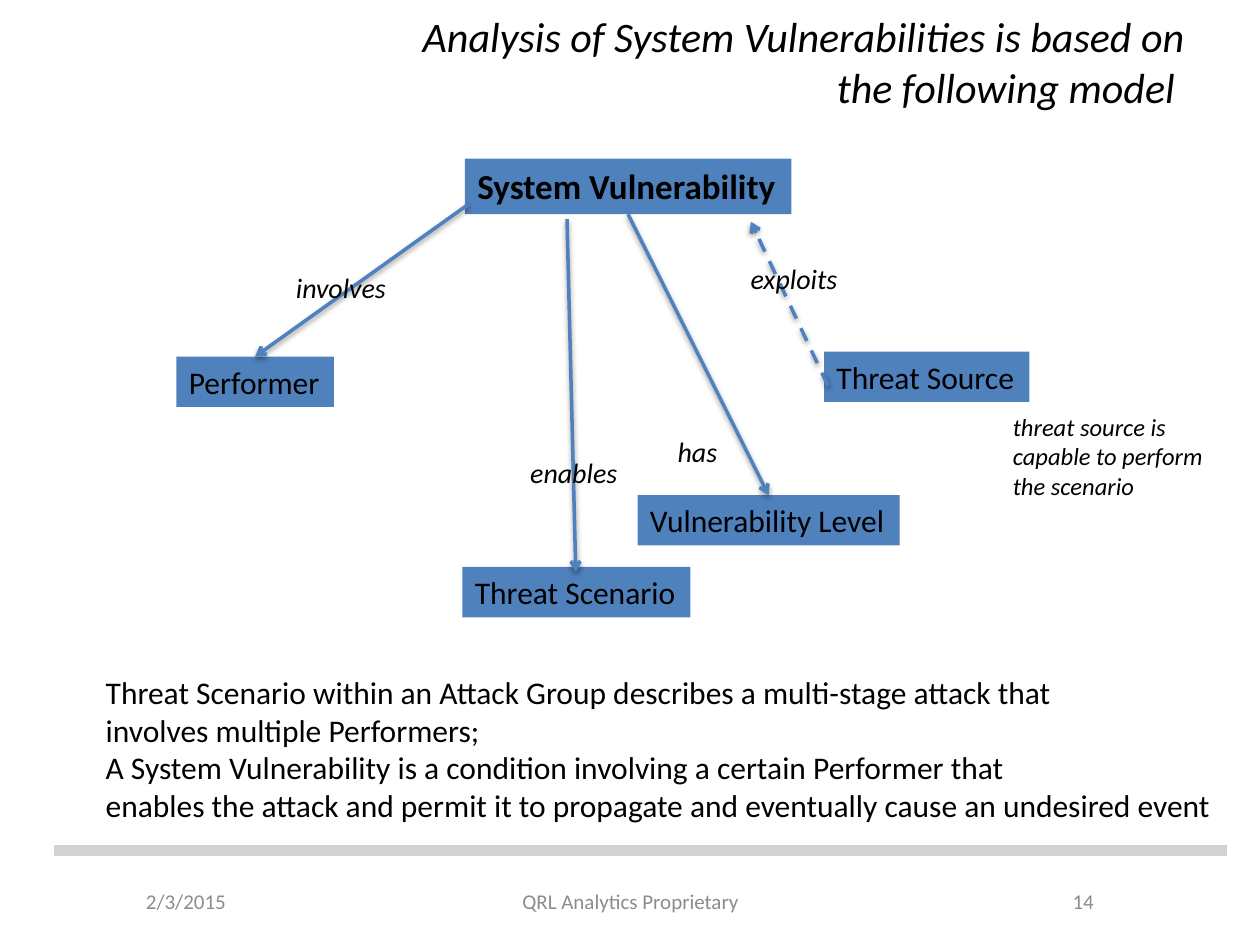
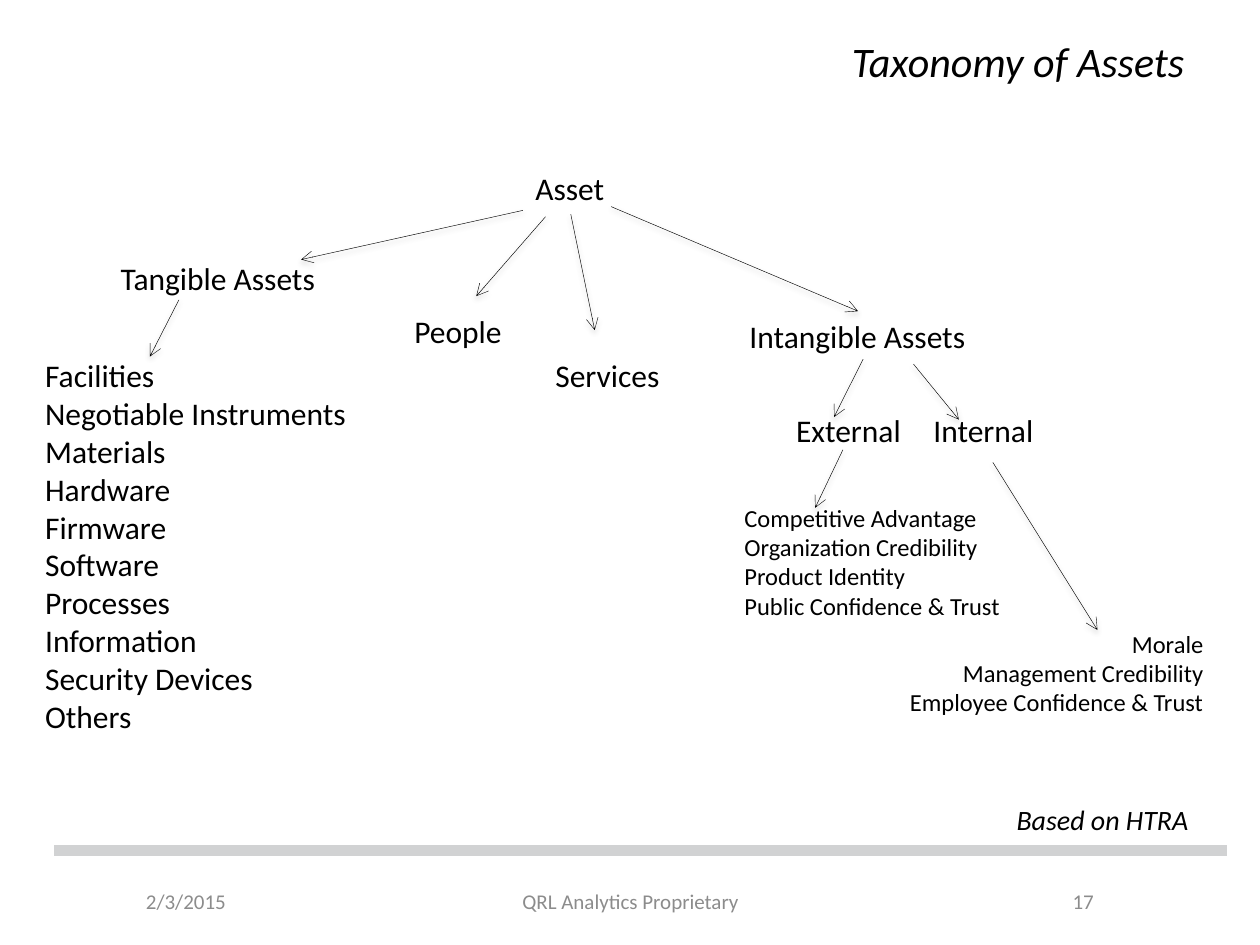
"""Build two slides: a system vulnerability model and a taxonomy of assets."""
from dataclasses import dataclass

from lxml.etree import SubElement
from pptx import Presentation
from pptx.dml.color import RGBColor
from pptx.enum.dml import MSO_LINE
from pptx.enum.shapes import MSO_CONNECTOR, MSO_SHAPE
from pptx.enum.text import MSO_ANCHOR, MSO_AUTO_SIZE, PP_ALIGN
from pptx.oxml.ns import qn
from pptx.util import Inches, Pt


@dataclass(frozen=True)
class Theme:
    """Colours, font and type sizes of both slides."""
    font: str = "Calibri"
    ink: RGBColor = RGBColor(0, 0, 0)
    blue: RGBColor = RGBColor(0x4F, 0x81, 0xBD)
    muted: RGBColor = RGBColor(0x8C, 0x8C, 0x8C)
    band: RGBColor = RGBColor(0xD1, 0xD2, 0xD3)
    title: int = 24
    root: int = 20
    body: int = 18
    label: int = 16
    note: int = 14
    footer: int = 12


THEME = Theme()
LEFT, CENTER, RIGHT = PP_ALIGN.LEFT, PP_ALIGN.CENTER, PP_ALIGN.RIGHT

DATE = "2/3/2015"
OWNER = "QRL Analytics Proprietary"

MODEL = {
    "title": "Analysis of System Vulnerabilities is based on\n the following model ",
    "number": "14",
    "nodes": [
        ("System Vulnerability", 3.69, 1.26, 2.59),
        ("Performer", 1.4, 2.83, 1.25),
        ("Threat Scenario", 3.67, 4.5, 1.81),
        ("Threat Source", 6.54, 2.79, 1.63),
        ("Vulnerability Level", 5.06, 3.93, 2.08),
    ],
    "relations": [
        ((3.72, 1.62), "Performer", False),
        ((6.57, 3.06), (5.96, 1.76), True),
        ((4.5, 1.74), (4.57, 4.54), False),
        ("System Vulnerability", "Vulnerability Level", False),
    ],
    "labels": [
        ("has", 5.28, 3.4, 0.57),
        ("enables", 4.11, 3.57, 0.95),
        ("involves", 2.25, 2.1, 0.98),
        ("exploits", 5.86, 2.03, 0.95),
    ],
    "capability": ("threat source is\ncapable to perform\nthe scenario", 7.94, 3.22, 1.76),
    "summary": ([
        "Threat Scenario within an Attack Group describes a multi-stage attack that",
        "involves multiple Performers;",
        "A System Vulnerability is a condition involving a certain Performer that",
        "enables the attack and permit it to propagate and eventually cause an undesired event",
    ], 0.74, 5.29, 8.98),
}

TAXONOMY = {
    "title": "Taxonomy of Assets",
    "number": "17",
    "classes": [
        (["Asset"], 4.15, 1.29, 0.75),
        (["Tangible Assets"], 0.86, 2.01, 1.76),
        (["Intangible Assets"], 5.85, 2.47, 1.93),
        (["People"], 3.19, 2.43, 0.9),
        (["Services"], 4.31, 2.78, 1.04),
        (["External"], 6.22, 3.21, 1.04),
        (["Internal"], 7.31, 3.21, 1),
        (["Facilities", "Negotiable Instruments", "Materials", "Hardware", "Firmware",
          "Software", "Processes", "Information", "Security Devices", "Others"],
         0.26, 2.78, 2.61),
    ],
    "examples": [
        (["Competitive Advantage", "Organization Credibility", "Product Identity",
          "Public Confidence & Trust"], 5.81, 3.94, 2.24, LEFT),
        (["Morale", "Management Credibility", "Employee Confidence & Trust"],
         7.1, 4.94, 2.55, RIGHT),
    ],
    "branches": [
        ((4.15, 1.67), (2.39, 2.06)),
        ((4.85, 1.64), (6.81, 2.47)),
        ((4.33, 1.72), (3.78, 2.35)),
        ((4.53, 1.7), (4.72, 2.62)),
        ((6.85, 2.85), (6.62, 3.31)),
        ((7.25, 2.89), (7.61, 3.33)),
        ((6.69, 3.57), (6.47, 4.03)),
        ((7.88, 3.67), (8.71, 5)),
        ((1.42, 2.38), (1.19, 2.83)),
    ],
    "basis": ("Based on HTRA", 7.97, 6.32, 1.64),
}


def write(frame, paragraphs, size, color=THEME.ink, align=LEFT, bold=False, italic=False):
    """Fill a text frame with equally formatted paragraphs."""
    for index, text in enumerate(paragraphs):
        paragraph = frame.add_paragraph() if index else frame.paragraphs[0]
        paragraph.text = text
        paragraph.alignment = align
        font = paragraph.font
        font.name, font.size, font.color.rgb = THEME.font, Pt(size), color
        font.bold, font.italic = bold, italic


def add_text(slide, content, left, top, width, size, fill=None, wrap=False, **style):
    """Add a text box, or a filled rectangle, as tall as its lines."""
    paragraphs = [content] if isinstance(content, str) else content
    lines = sum(text.count("\n") + 1 for text in paragraphs)
    area = [Inches(v) for v in (left, top, width, round(0.1 + lines * size * 1.21 / 72, 2))]
    if fill is None:
        box = slide.shapes.add_textbox(*area)
    else:
        box = slide.shapes.add_shape(MSO_SHAPE.RECTANGLE, *area)
        box.shadow.inherit = False
        box.fill.solid()
        box.fill.fore_color.rgb = fill
        box.line.fill.background()
    frame = box.text_frame
    frame.word_wrap = wrap
    frame.auto_size = MSO_AUTO_SIZE.SHAPE_TO_FIT_TEXT
    frame.vertical_anchor = MSO_ANCHOR.TOP
    write(frame, paragraphs, size, **style)
    return box


def add_line(slide, start, end, color, weight):
    """Add a straight line between two points."""
    points = [Inches(v) for v in (*start, *end)]
    line = slide.shapes.add_connector(MSO_CONNECTOR.STRAIGHT, *points)
    line.line.color.rgb = color
    line.line.width = Pt(weight)
    return line


def add_arrow(slide, start, end, color, weight, dashed=False, nodes=None):
    """Add an arrow between points or, by name, from a node's bottom to a node's top."""
    origin, target = ((0, 0) if isinstance(p, str) else p for p in (start, end))
    arrow = add_line(slide, origin, target, color, weight)
    if isinstance(start, str):
        arrow.begin_connect(nodes[start], 2)
    if isinstance(end, str):
        arrow.end_connect(nodes[end], 0)
    if dashed:
        arrow.line.dash_style = MSO_LINE.DASH
    SubElement(arrow.line._get_or_add_ln(), qn("a:tailEnd"), type="arrow")


def add_slide(deck, content):
    """Add a slide with the shared title, rule and footer."""
    slide = deck.slides.add_slide(deck.slide_layouts[5])
    title = slide.shapes.title
    title.left, title.top, title.width, title.height = map(Inches, (0.5, 0.21, 9, 0.55))
    title.text_frame.auto_size = MSO_AUTO_SIZE.NONE
    title.text_frame.vertical_anchor = MSO_ANCHOR.MIDDLE
    write(title.text_frame, [content["title"]], THEME.title, align=RIGHT, italic=True)

    rule = add_line(slide, (0.43, 6.75), (9.74, 6.75), THEME.band, 6)
    SubElement(rule._element.spPr, qn("a:effectLst"))
    for text, left, width, align in (
        (DATE, 1.06, 1.77, LEFT),
        (OWNER, 3.42, 3.17, CENTER),
        (content["number"], 7.17, 1.61, RIGHT),
    ):
        footer = add_text(slide, text, left, 6.95, width, THEME.footer,
                          wrap=True, color=THEME.muted, align=align)
        footer.text_frame.auto_size = MSO_AUTO_SIZE.NONE
        footer.text_frame.vertical_anchor = MSO_ANCHOR.MIDDLE
        footer.height = Inches(0.4)
    return slide


def build_model(deck):
    """Draw the vulnerability model."""
    slide = add_slide(deck, MODEL)
    nodes = {}
    for index, (name, *place) in enumerate(MODEL["nodes"]):
        is_root = index == 0
        nodes[name] = add_text(slide, name, *place, THEME.root if is_root else THEME.body,
                               fill=THEME.blue, bold=is_root)
    for start, end, dashed in MODEL["relations"]:
        add_arrow(slide, start, end, THEME.blue, 2, dashed, nodes)
    for label in MODEL["labels"]:
        add_text(slide, *label, THEME.label, italic=True)
    add_text(slide, *MODEL["capability"], THEME.note, wrap=True, italic=True)
    add_text(slide, *MODEL["summary"], THEME.body)


def build_taxonomy(deck):
    """Draw the asset taxonomy."""
    slide = add_slide(deck, TAXONOMY)
    for asset_class in TAXONOMY["classes"]:
        add_text(slide, *asset_class, THEME.body)
    for *examples, align in TAXONOMY["examples"]:
        add_text(slide, *examples, THEME.note, align=align)
    for start, end in TAXONOMY["branches"]:
        add_arrow(slide, start, end, THEME.ink, 0.25)
    add_text(slide, *TAXONOMY["basis"], THEME.label, italic=True)


def main():
    """Build and save the deck."""
    deck = Presentation()
    deck.slide_width, deck.slide_height = Inches(10), Inches(7.5)
    build_model(deck)
    build_taxonomy(deck)
    deck.save("out.pptx")


if __name__ == "__main__":
    main()
